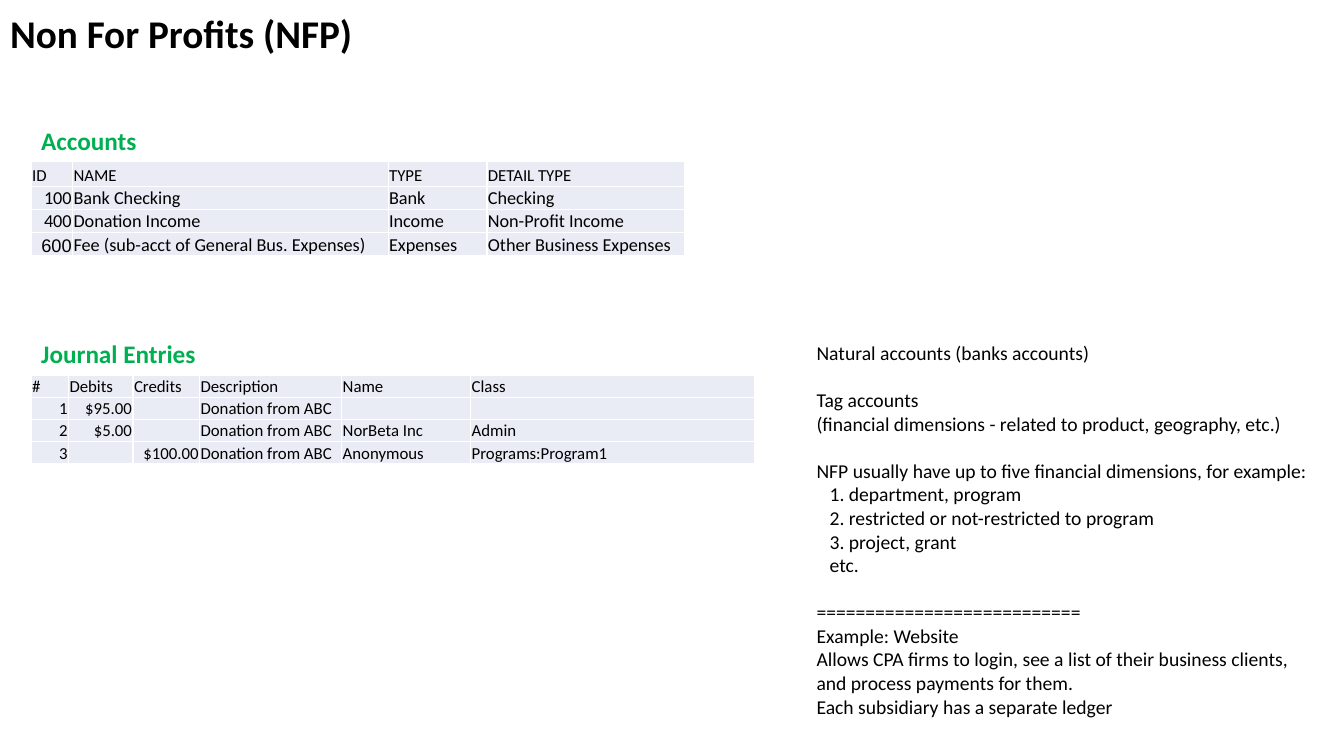
from lxml import etree
from pptx import Presentation
from pptx.dml.color import RGBColor
from pptx.enum.text import MSO_ANCHOR, PP_ALIGN
from pptx.oxml.ns import qn
from pptx.util import Emu, Inches, Pt

LEFT, RIGHT = PP_ALIGN.LEFT, PP_ALIGN.RIGHT
TOP, BOTTOM = MSO_ANCHOR.TOP, MSO_ANCHOR.BOTTOM
TITLE_ONLY = 5

COLORS = {"text": "000000", "heading": "00B050", "cell": "E9EBF5"}
FONT = "Calibri"
NOTE_SIZE = 14
NOTE_GAP = 17
HEADING_HEIGHT = 0.4

ACCOUNTS = [
    ["ID", "NAME", "TYPE", "DETAIL TYPE"],
    ["100", "Bank Checking", "Bank", "Checking"],
    ["400", "Donation Income", "Income", "Non-Profit Income"],
    ["600", "Fee (sub-acct of General Bus. Expenses)", "Expenses", "Other Business Expenses"],
]
JOURNAL = [
    ["#", "Debits", "Credits", "Description", "Name", "Class"],
    ["1", "$95.00", "", "Donation from ABC", "", ""],
    ["2", "$5.00", "", "Donation from ABC", "NorBeta Inc", "Admin"],
    ["3", "", "$100.00", "Donation from ABC", "Anonymous", "Programs:Program1"],
]
# Each group is set apart by a gap; each line has a kind and its wording.
NOTES = [
    [("plain", "Natural accounts (banks accounts)")],
    [("plain", "Tag accounts"),
     ("plain", "(financial dimensions - related to product, geography, etc.)")],
    [("plain", "NFP usually have up to five financial dimensions, for example:"),
     ("numbered", "department, program"),
     ("numbered", "restricted or not-restricted to program"),
     ("numbered", "project, grant"),
     ("indented", "etc.")],
    [("plain", "=" * 27),
     ("plain", "Example: Website"),
     ("plain", "Allows CPA firms to login, see a list of their business clients,"),
     ("plain", "and process payments for them."),
     ("plain", "Each subsidiary has a separate ledger")],
]


def format_font(paragraph, size, color="text", bold=False, name=FONT):
    font = paragraph.font
    font.name, font.size, font.bold = name, Pt(size), bold
    font.color.rgb = RGBColor.from_string(COLORS[color])


def indent(paragraph, kind):
    """Indent a note line, numbering it when its kind asks for it."""
    properties = paragraph._p.get_or_add_pPr()
    if kind == "numbered":
        properties.set("marL", str(Inches(0.32)))
        properties.set("indent", str(Inches(-0.19)))
        number = etree.Element(qn("a:buAutoNum"), type="arabicPeriod")
        properties.insert_element_before(number, "a:tabLst", "a:defRPr", "a:extLst")
    elif kind == "indented":
        properties.set("marL", str(Inches(0.13)))


def add_title(slide, text, left, top, width, height):
    title = slide.shapes.title
    title.left, title.top, title.width, title.height = map(Inches, (left, top, width, height))
    frame = title.text_frame
    frame.text = text
    frame.word_wrap = False
    frame.vertical_anchor = TOP
    paragraph = frame.paragraphs[0]
    paragraph.alignment = LEFT
    format_font(paragraph, 28, bold=True)


def add_heading(slide, text, left, top):
    box = slide.shapes.add_textbox(*map(Inches, (left, top, 2.58, HEADING_HEIGHT)))
    box.text_frame.word_wrap = True
    box.text_frame.text = text
    format_font(box.text_frame.paragraphs[0], 18, "heading", bold=True)


def fill_cell(cell, text, size, alignment, font_name):
    cell.margin_left = cell.margin_top = cell.margin_right = Inches(0.01)
    cell.margin_bottom = Emu(0)
    cell.vertical_anchor = BOTTOM
    cell.fill.solid()
    cell.fill.fore_color.rgb = RGBColor.from_string(COLORS["cell"])
    cell.text = text
    paragraph = cell.text_frame.paragraphs[0]
    paragraph.alignment = alignment
    format_font(paragraph, size, name=font_name)
    if not text:
        etree.SubElement(paragraph._p, qn("a:endParaRPr"), sz=str(size * 100))


def add_ledger(slide, heading, rows, left, top, widths, heights, body_size, font_names):
    """Place a heading with its table below; font_names holds exceptions by cell text."""
    add_heading(slide, heading, left, top)
    box = (left, top + HEADING_HEIGHT + 0.01, sum(widths), sum(heights))
    table = slide.shapes.add_table(len(rows), len(widths), *map(Inches, box)).table
    table.first_row = table.horz_banding = False
    for column, width in zip(table.columns, widths):
        column.width = Inches(width)
    for row_index, (row, height, values) in enumerate(zip(table.rows, heights, rows)):
        row.height = Inches(height)
        for cell, text in zip(row.cells, values):
            is_number = text.lstrip("$").replace(".", "").isdigit()
            fill_cell(cell, text, body_size if row_index else 12,
                      RIGHT if is_number else LEFT, font_names.get(text, FONT))


def add_notes(slide, groups, left, top, width, height):
    box = slide.shapes.add_textbox(*map(Inches, (left, top, width, height)))
    frame = box.text_frame
    frame.word_wrap = False
    paragraph = frame.paragraphs[0]
    for group_index, group in enumerate(groups):
        for line_index, (kind, text) in enumerate(group):
            if group_index or line_index:
                paragraph = frame.add_paragraph()
            paragraph.text = text
            format_font(paragraph, NOTE_SIZE)
            indent(paragraph, kind)
            if group_index and not line_index:
                paragraph.space_before = Pt(NOTE_GAP)


def main():
    presentation = Presentation()
    presentation.slide_width, presentation.slide_height = Inches(13.33), Inches(7.5)
    slide = presentation.slides.add_slide(presentation.slide_layouts[TITLE_ONLY])
    add_title(slide, "Non For Profits (NFP)", 0, 0.04, 4.01, 0.57)
    add_ledger(slide, "Accounts", ACCOUNTS, 0.31, 1.19, [0.41, 3.13, 0.98, 1.96],
               [0.25] + [0.23] * 3, 13, {"600": "Arial"})
    add_ledger(slide, "Journal Entries", JOURNAL, 0.31, 3.31,
               [0.37, 0.64, 0.66, 1.41, 1.28, 2.82], [0.22] * 4, 12, {})
    add_notes(slide, NOTES, 8, 3.33, 5.09, 3.87)
    presentation.save("out.pptx")


if __name__ == "__main__":
    main()
